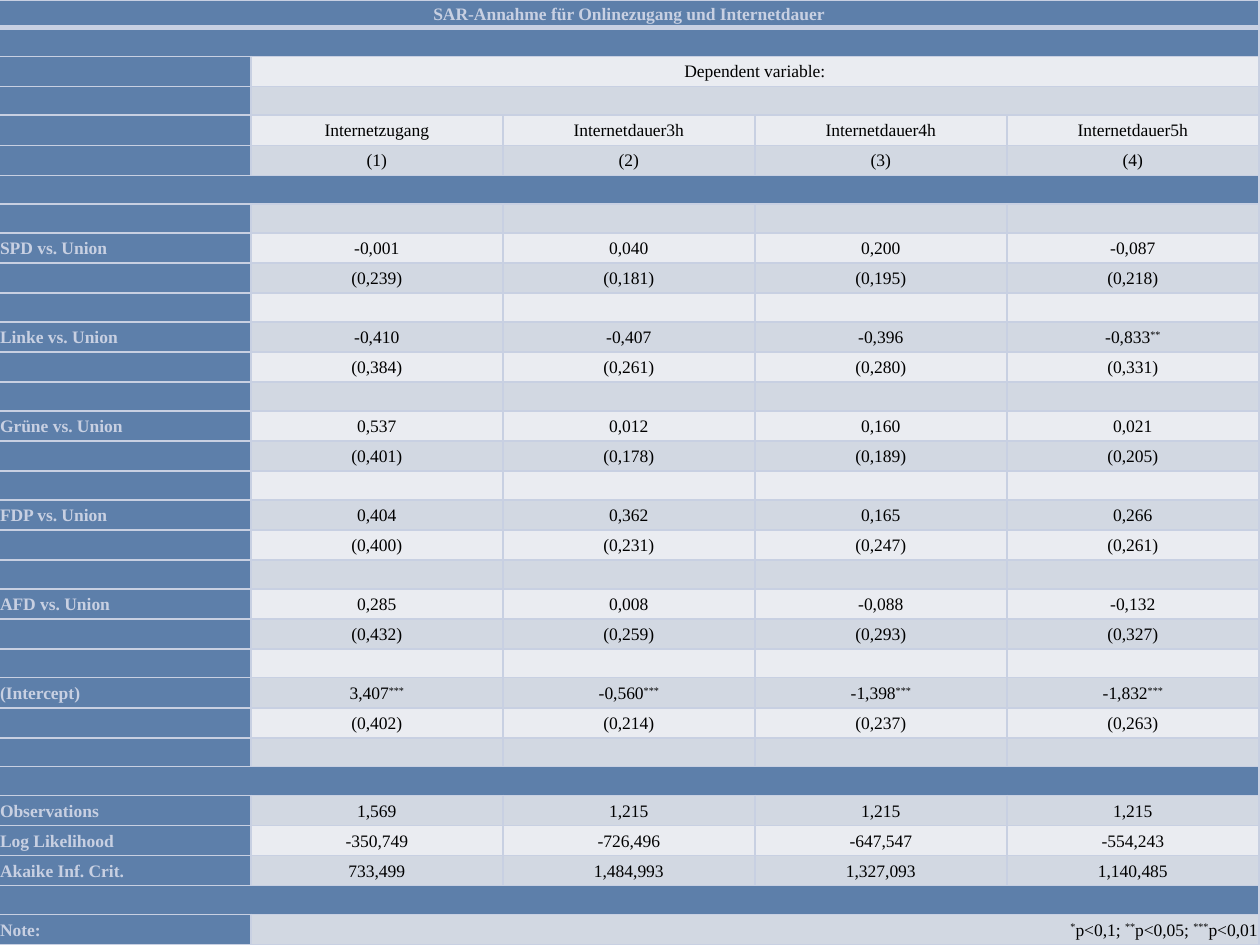
from itertools import groupby

from lxml.etree import SubElement
from pptx import Presentation
from pptx.dml.color import RGBColor
from pptx.enum.text import MSO_ANCHOR, PP_ALIGN
from pptx.oxml.ns import qn
from pptx.util import Inches, Pt

THEME = {
    "font": "Times New Roman",
    "size": Pt(10),
    "line_spacing": 1.07,
    "header": "5D7FAA",
    "light": "EAECF1",
    "dark": "D2D8E2",
    "pale": "C8D0E2",
    "text": "000000",
    "border": Pt(1),
    "title_border": Pt(3),
}

COLUMNS = 5
COLUMN_WIDTH = 2
TABLE_LEFT, TABLE_HEIGHT = -0.01, 7.5
TITLE_HEIGHT, EMPTY_HEIGHT, TEXT_HEIGHT = 0.22, 0.23, 0.24

# The last entry of a row spans all columns that remain; "*" is set as superscript.
BAND = ("",)
GAP = ("",) * COLUMNS
TITLE = ("SAR-Annahme für Onlinezugang und Internetdauer",)
HEADINGS = [
    ("", "Dependent variable:"),
    ("", ""),
    ("", "Internetzugang", "Internetdauer3h", "Internetdauer4h", "Internetdauer5h"),
    ("", "(1)", "(2)", "(3)", "(4)"),
]
ESTIMATES = [
    ("SPD vs. Union", "-0,001", "0,040", "0,200", "-0,087"),
    ("", "(0,239)", "(0,181)", "(0,195)", "(0,218)"),
    GAP,
    ("Linke vs. Union", "-0,410", "-0,407", "-0,396", "-0,833**"),
    ("", "(0,384)", "(0,261)", "(0,280)", "(0,331)"),
    GAP,
    ("Grüne vs. Union", "0,537", "0,012", "0,160", "0,021"),
    ("", "(0,401)", "(0,178)", "(0,189)", "(0,205)"),
    GAP,
    ("FDP vs. Union", "0,404", "0,362", "0,165", "0,266"),
    ("", "(0,400)", "(0,231)", "(0,247)", "(0,261)"),
    GAP,
    ("AFD vs. Union", "0,285", "0,008", "-0,088", "-0,132"),
    ("", "(0,432)", "(0,259)", "(0,293)", "(0,327)"),
    GAP,
    ("(Intercept)", "3,407***", "-0,560***", "-1,398***", "-1,832***"),
    ("", "(0,402)", "(0,214)", "(0,237)", "(0,263)"),
]
MODEL_FIT = [
    ("Observations", "1,569", "1,215", "1,215", "1,215"),
    ("Log Likelihood", "-350,749", "-726,496", "-647,547", "-554,243"),
    ("Akaike Inf. Crit.", "733,499", "1,484,993", "1,327,093", "1,140,485"),
]
NOTE = ("Note:", "*p<0,1; **p<0,05; ***p<0,01")
ROWS = [TITLE, BAND, *HEADINGS, BAND, GAP, *ESTIMATES, GAP, BAND, *MODEL_FIT, BAND, NOTE]


def row_heights():
    """Give text rows more room than empty ones, scaled to fill the table height."""
    weights = [TEXT_HEIGHT if any(row) else EMPTY_HEIGHT for row in ROWS]
    weights[0] = TITLE_HEIGHT
    return [weight * TABLE_HEIGHT / sum(weights) for weight in weights]


def set_borders(cell, row_index):
    properties = cell._tc.get_or_add_tcPr()
    thick_side = {0: "lnB", 1: "lnT"}.get(row_index)
    for side in ("lnL", "lnR", "lnT", "lnB"):
        width = THEME["title_border" if side == thick_side else "border"]
        line = SubElement(properties, qn(f"a:{side}"), w=str(int(width)))
        fill = SubElement(line, qn("a:solidFill"))
        SubElement(fill, qn("a:srgbClr"), val=THEME["pale"])


def write_text(cell, text, alignment, color, bold):
    paragraph = cell.text_frame.paragraphs[0]
    paragraph.alignment = alignment
    paragraph.line_spacing = THEME["line_spacing"]
    for is_star, characters in groupby(text, key=lambda character: character == "*"):
        run = paragraph.add_run()
        run.text = "".join(characters)
        font_format = {"name": THEME["font"], "size": THEME["size"], "bold": bold}
        for name, value in font_format.items():
            setattr(run.font, name, value)
        run.font.color.rgb = RGBColor.from_string(color)
        if is_star:
            run._r.get_or_add_rPr().set("baseline", "30000")
    if not text:
        size = str(int(THEME["size"].pt * 100))
        SubElement(paragraph._p, qn("a:endParaRPr"), sz=size)


def format_cell(cell, row_index, fill):
    set_borders(cell, row_index)
    cell.fill.solid()
    cell.fill.fore_color.rgb = RGBColor.from_string(fill)
    cell.vertical_anchor = MSO_ANCHOR.MIDDLE
    for side in ("left", "right", "top", "bottom"):
        setattr(cell, f"margin_{side}", Inches(0.01))


def cell_alignment(row, column_index):
    if row is NOTE and column_index:
        return PP_ALIGN.RIGHT
    return PP_ALIGN.CENTER if column_index or row is TITLE else PP_ALIGN.LEFT


def fill_row(table, row_index, row):
    body_fill = THEME["dark" if row_index % 2 else "light"]
    for column_index in range(COLUMNS):
        is_header = column_index == 0 or len(row) == 1
        cell = table.cell(row_index, column_index)
        format_cell(cell, row_index, THEME["header"] if is_header else body_fill)
        text = row[column_index] if column_index < len(row) else ""
        color = THEME["pale" if is_header else "text"]
        write_text(cell, text, cell_alignment(row, column_index), color, is_header)
    if len(row) < COLUMNS:
        last_cell = table.cell(row_index, COLUMNS - 1)
        table.cell(row_index, len(row) - 1).merge(last_cell)


def main():
    presentation = Presentation()
    presentation.slide_width, presentation.slide_height = Inches(10), Inches(7.5)
    slide = presentation.slides.add_slide(presentation.slide_layouts[6])
    slide.background.fill.solid()
    slide.background.fill.fore_color.rgb = RGBColor.from_string(THEME["pale"])

    table = slide.shapes.add_table(
        len(ROWS), COLUMNS, Inches(TABLE_LEFT), Inches(0),
        Inches(COLUMNS * COLUMN_WIDTH), Inches(TABLE_HEIGHT),
    ).table
    table.first_row = table.horz_banding = False
    for column in table.columns:
        column.width = Inches(COLUMN_WIDTH)
    for row_index, (row, height) in enumerate(zip(ROWS, row_heights())):
        table.rows[row_index].height = Inches(height)
        fill_row(table, row_index, row)

    presentation.save("out.pptx")


if __name__ == "__main__":
    main()
